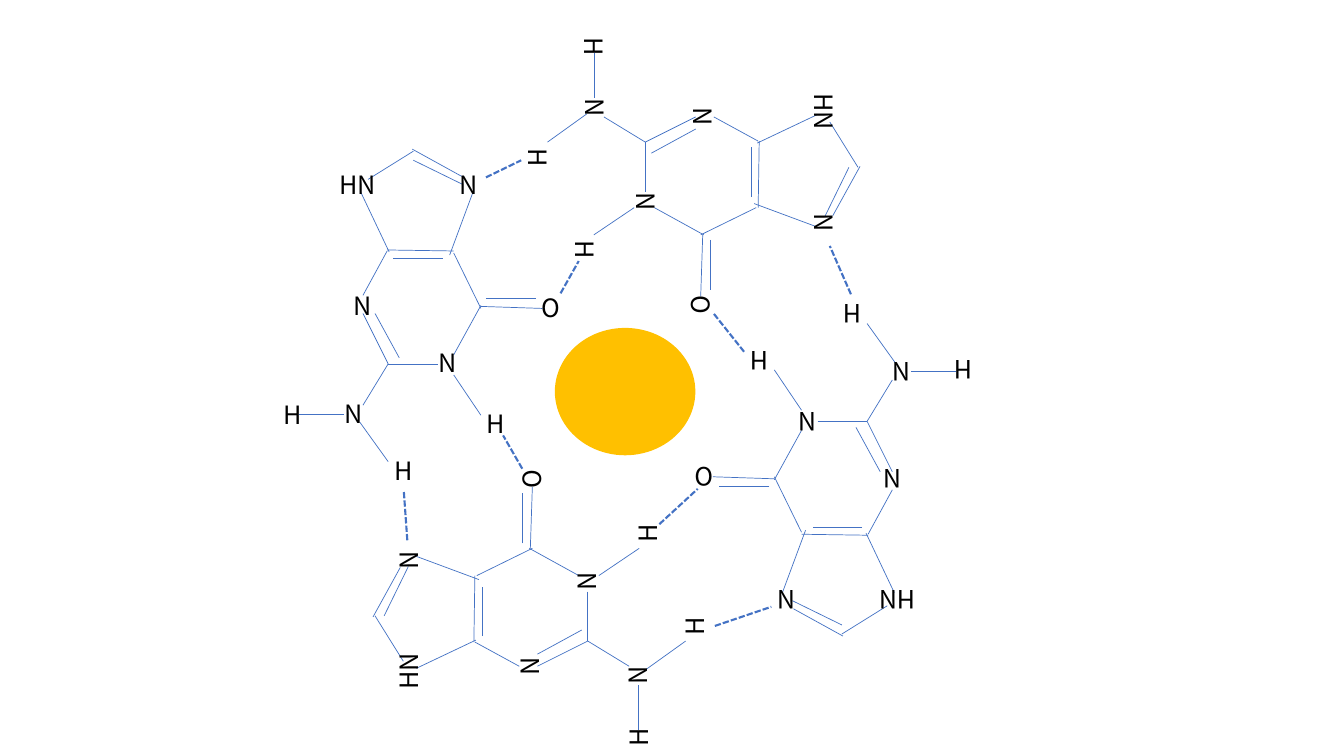
from dataclasses import dataclass
from typing import NamedTuple

from lxml import etree
from pptx import Presentation
from pptx import util as u
from pptx.dml.color import RGBColor
from pptx.enum import dml, shapes, text
from pptx.oxml import ns


@dataclass(frozen=True)
class Theme:
    bond: RGBColor = RGBColor(0x44, 0x72, 0xC4)
    ion: RGBColor = RGBColor(0xFF, 0xC0, 0x00)
    label: RGBColor = RGBColor(0, 0, 0)
    font: str = "Noto Sans CJK SC"
    label_size: float = 18
    bond_width: float = 0.5
    hbond_width: float = 1.5
    ion_width: float = 1


class Atom(NamedTuple):
    label: str
    x: float  # box centre
    y: float
    w: float = 0.39
    h: float = 0.4


class Line(NamedTuple):
    x1: float
    y1: float
    x2: float
    y2: float


class Pose(NamedTuple):
    """Quarter-turn rotation followed by a shift."""
    angle: int
    cos: int
    sin: int
    dx: float
    dy: float

    def apply(self, x: float, y: float) -> tuple[float, float]:
        return (self.cos * x - self.sin * y + self.dx,
                self.sin * x + self.cos * y + self.dy)


THEME = Theme()

# One guanine, drawn in the place of the left-hand base
AMINO_H = Atom("H", 4.005, 4.67)
ATOMS = [
    Atom("N", 3.515, 4.1), Atom("H", 4.925, 4.2), Atom("H", 2.905, 4.11),
    AMINO_H, Atom("N", 4.545, 3.715, 0.59, 0.63),
    Atom("N", 3.705, 3.145, 0.59, 0.63), Atom("O", 5.465, 3.05),
    Atom("HN", 3.585, 1.83, 0.63), Atom("N", 4.655, 1.83),
]
BONDS = [
    # Amino group and ring hydrogen
    Line(3.41, 4.11, 2.97, 4.11), Line(3.85, 3.61, 3.6, 4.02),
    Line(3.57, 4.19, 3.85, 4.58), Line(4.5, 3.72, 4.77, 4.12),
    # Six-membered ring
    Line(4.34, 3.61, 3.85, 3.61), Line(3.85, 3.61, 3.6, 3.11),
    Line(3.72, 3.11, 3.96, 3.55), Line(3.6, 2.93, 3.84, 2.49),
    Line(4.5, 3.52, 4.77, 3.03), Line(3.84, 2.48, 4.5, 2.49),
    Line(4.77, 3.06, 4.5, 2.51), Line(3.9, 2.56, 4.39, 2.56),
    # Carbonyl
    Line(4.77, 3.04, 5.38, 3.06), Line(4.82, 2.96, 5.32, 2.96),
    # Five-membered ring
    Line(3.86, 2.5, 3.58, 1.91), Line(4.46, 2.53, 4.69, 1.91),
    Line(3.65, 1.78, 4.1, 1.5), Line(4.09, 1.48, 4.58, 1.75),
    Line(4.1, 1.59, 4.59, 1.83),
]
POSES = [
    Pose(0, 1, 0, 0, 0),
    Pose(90, 0, 1, 10.01, -2.44),
    Pose(180, -1, 0, 12.45, 7.79),
    Pose(270, 0, -1, 2.22, 10.21),
]
LEFT_HBOND = Line(4.04, 5.36, 4, 4.87)
HBONDS = [
    Line(4.82, 1.76, 5.17, 1.59), Line(8.44, 2.92, 8.23, 2.44),
    Line(5.56, 2.91, 5.74, 2.59), Line(7.38, 3.49, 7.07, 3.1),
    LEFT_HBOND, Line(5.18, 4.65, 4.99, 4.32),
    Line(6.54, 5.2, 6.92, 4.85), Line(7.09, 6.21, 7.65, 6.02),
]


def set_all(target, values: dict) -> None:
    for name, value in values.items():
        setattr(target, name, value)


def add_line(parent, line: Line, width: float, dash=None):
    sp = parent.add_connector(shapes.MSO_CONNECTOR.STRAIGHT,
                              *(u.Inches(v) for v in line))
    sp.line.color.rgb = THEME.bond
    set_all(sp.line, {"width": u.Pt(width), "dash_style": dash})
    etree.SubElement(sp._element.spPr, ns.qn("a:effectLst"))
    return sp


def add_atom(parent, atom: Atom, pose: Pose):
    x, y = pose.apply(atom.x, atom.y)
    sp = parent.add_textbox(u.Inches(x - atom.w / 2), u.Inches(y - atom.h / 2),
                            u.Inches(atom.w), u.Inches(atom.h))
    sp.rotation = pose.angle
    tf = sp.text_frame
    set_all(tf, {"word_wrap": True,
                 "auto_size": text.MSO_AUTO_SIZE.SHAPE_TO_FIT_TEXT})
    r = tf.paragraphs[0].add_run()
    r.text = atom.label
    set_all(r.font, {"name": THEME.font, "size": u.Pt(THEME.label_size)})
    r.font.color.rgb = THEME.label
    return sp


def add_guanine(s, pose: Pose) -> dict:
    group = s.shapes.add_group_shape().shapes
    for bond in BONDS:
        ends = Line(*pose.apply(bond.x1, bond.y1), *pose.apply(bond.x2, bond.y2))
        add_line(group, ends, THEME.bond_width)
    return {atom: add_atom(group, atom, pose) for atom in ATOMS}


def add_ion(s) -> None:
    sp = s.shapes.add_shape(shapes.MSO_SHAPE.OVAL, u.Inches(5.51), u.Inches(3.26),
                            u.Inches(1.38), u.Inches(1.25))
    sp.shadow.inherit = False
    sp.fill.solid()
    sp.fill.fore_color.rgb = THEME.ion
    sp.line.color.rgb = THEME.ion
    sp.line.width = u.Pt(THEME.ion_width)


def main() -> None:
    prs = Presentation()
    set_all(prs, {"slide_width": u.Inches(13.33), "slide_height": u.Inches(7.5)})
    s = prs.slides.add_slide(prs.slide_layouts[6])

    # Four guanines, each a quarter turn from the last
    left, *_ = [add_guanine(s, pose) for pose in POSES]

    # Hydrogen bonds between neighbours
    for hbond in HBONDS:
        sp = add_line(s.shapes, hbond, THEME.hbond_width,
                      dml.MSO_LINE.SQUARE_DOT)
        if hbond == LEFT_HBOND:
            sp.end_connect(left[AMINO_H], 2)

    # Central metal ion
    add_ion(s)
    prs.save("out.pptx")


if __name__ == "__main__":
    main()
